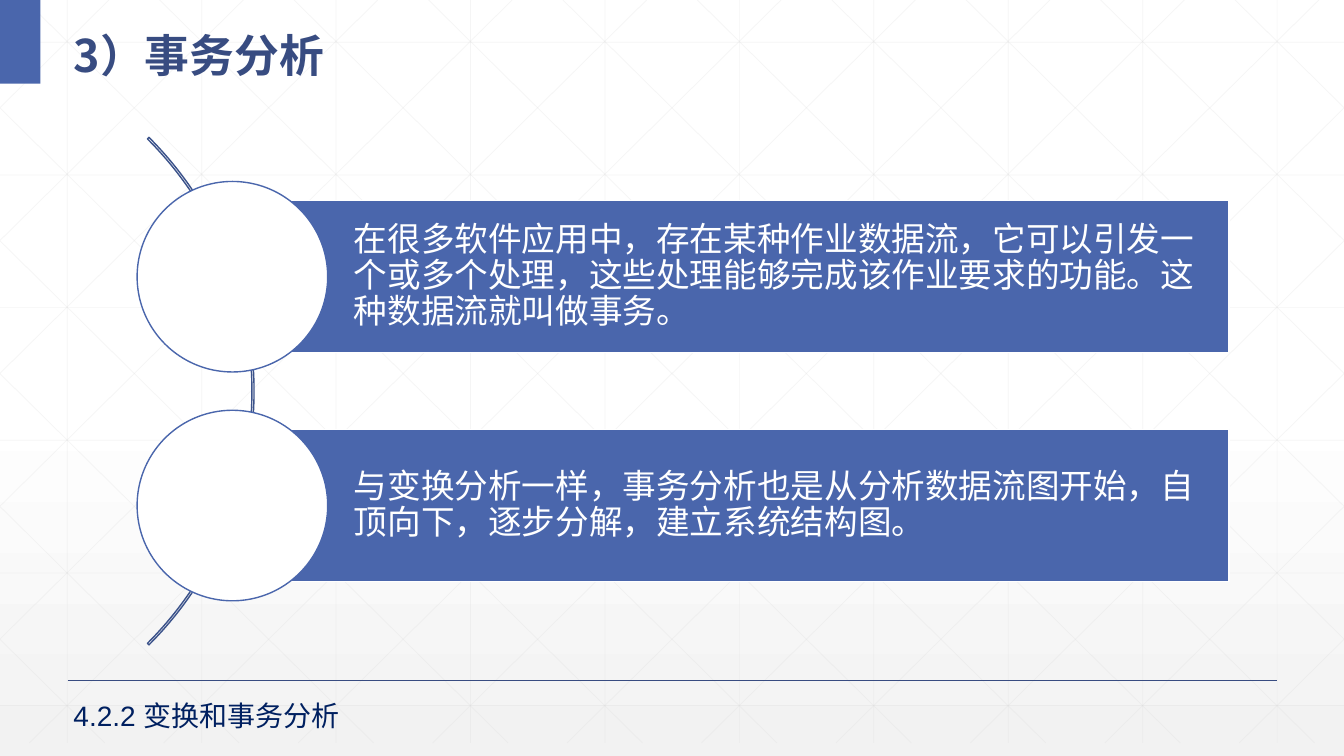
"""Build the slide on transaction analysis."""
from dataclasses import dataclass

from lxml import etree
from pptx import Presentation
from pptx.dml.color import RGBColor
from pptx.enum.shapes import MSO_CONNECTOR, MSO_SHAPE
from pptx.enum.text import MSO_ANCHOR, MSO_AUTO_SIZE, PP_ALIGN
from pptx.oxml.ns import qn
from pptx.util import Inches, Pt

LINE = MSO_CONNECTOR.STRAIGHT
RECT, OVAL, ARC = MSO_SHAPE.RECTANGLE, MSO_SHAPE.OVAL, MSO_SHAPE.BLOCK_ARC
LEFT, MIDDLE, TOP = PP_ALIGN.LEFT, MSO_ANCHOR.MIDDLE, MSO_ANCHOR.TOP
FIXED, GROW = MSO_AUTO_SIZE.NONE, MSO_AUTO_SIZE.SHAPE_TO_FIT_TEXT


@dataclass(frozen=True)
class Theme:
    white: str = "FFFFFF"
    fade: str = "F2F2F2"
    grid: str = "D9D9D9"
    blue: str = "4A66AC"
    dark: str = "384C81"
    arc: str = "3B528A"
    navy: str = "002060"
    latin: str = "Arial"
    asian: str = "Noto Sans CJK SC"
    head: int = 32
    body: int = 24
    foot: int = 20


theme = Theme()


def write(frame, text, size, color, font=theme.latin, bold=False,
          space=1.0, anchor=MIDDLE, fit=FIXED):
    frame.word_wrap = True
    frame.auto_size = fit
    frame.vertical_anchor = anchor
    para = frame.paragraphs[0]
    para.alignment = LEFT
    para.line_spacing = space
    run = para.add_run()
    run.text = text
    run.font.size = Pt(size)
    run.font.bold = bold
    run.font.name = font
    run.font.color.rgb = RGBColor.from_string(color)
    asian = etree.Element(qn("a:ea"), typeface=theme.asian)
    run.font.element.find(qn("a:latin")).addnext(asian) if hasattr(
        run.font, "element") else run._r.rPr.find(qn("a:latin")).addnext(asian)


def rule(x1, y1, x2, y2, color, width, alpha=100):
    line = slide.shapes.add_connector(
        LINE, Inches(x1), Inches(y1), Inches(x2), Inches(y2))
    line.line.color.rgb = RGBColor.from_string(color)
    line.line.width = Pt(width)
    props = line.element.spPr
    etree.SubElement(props, qn("a:effectLst"))
    tint = props.find(".//" + qn("a:srgbClr"))
    etree.SubElement(tint, qn("a:alpha"), val=str(alpha * 1000))


deck = Presentation()
wide, high = 13.33, 7.5
deck.slide_width, deck.slide_height = Inches(wide), Inches(high)
slide = deck.slides.add_slide(deck.slide_layouts[5])

back = slide.background.fill
back.gradient()
back.gradient_angle = 270
for stop, place, color in zip(
        back.gradient_stops, (0.53, 1), (theme.white, theme.fade)):
    stop.position = place
    stop.color.rgb = RGBColor.from_string(color)

base, step, run_x = 7.37, 4 / 3, 7.455
slope = base / run_x
grid = [(2 / 3 + step * i, 0, 2 / 3 + step * i, base) for i in range(10)]
grid += [(0, 0.42 + 1.316 * i, wide, 0.42 + 1.316 * i) for i in range(6)]
for i in range(-5, 10):
    start = 0.25 + step * i
    x1, x2 = max(0, start), min(wide, start + run_x)
    y1, y2 = slope * (x1 - start), slope * (x2 - start)
    grid += [(x1, y1, x2, y2), (wide - x1, y1, wide - x2, y2)]
for ends in grid:
    rule(*ends, theme.grid, 0.5, alpha=25)
rule(0.67, 6.75, 12.67, 6.75, theme.dark, 1)

title = slide.shapes.title
title.left, title.top = Inches(0.63), Inches(0.1)
title.width, title.height = Inches(12.42), Inches(0.73)
write(title.text_frame, "3）事务分析", theme.head, theme.dark,
      font=theme.asian, bold=True, space=1.3)
title.element.getparent().append(title.element)

notes = (
    "在很多软件应用中，存在某种作业数据流，它可以引发一个或多个处理，"
    "这些处理能够完成该作业要求的功能。这种数据流就叫做事务。",
    "与变换分析一样，事务分析也是从分析数据流图开始，"
    "自顶向下，逐步分解，建立系统结构图。",
)
parts = [
    (RECT, 0, 0, 0.4, 0.83, theme.blue, None, ""),
    (ARC, -4.6, 0.32, 7.12, 7.12, None, theme.arc, ""),
]
for i, note in enumerate(notes):
    top = 1.8 + 2.27 * i
    parts += [
        (RECT, 2.31, top + 0.19, 9.88, 1.51, theme.blue, theme.white, note),
        (OVAL, 1.36, top, 1.89, 1.89, theme.white, theme.blue, ""),
    ]
for kind, x, y, w, h, fill, edge, note in parts:
    shape = slide.shapes.add_shape(
        kind, Inches(x), Inches(y), Inches(w), Inches(h))
    shape.shadow.inherit = False
    if fill:
        shape.fill.solid()
        shape.fill.fore_color.rgb = RGBColor.from_string(fill)
    else:
        shape.fill.background()
    if edge:
        shape.line.color.rgb = RGBColor.from_string(edge)
        shape.line.width = Pt(1)
    else:
        shape.line.fill.background()
    if kind == ARC:
        for i, turn in enumerate((189, 27, 0.003)):
            shape.adjustments[i] = turn
    if note:
        frame = shape.text_frame
        frame.margin_left = Inches(1.2)
        frame.margin_right = Inches(0.07)
        frame.margin_top = frame.margin_bottom = Inches(0.07)
        write(frame, note, theme.body, theme.white, space=0.9)

foot = slide.shapes.add_textbox(
    Inches(0.63), Inches(6.88), Inches(4.69), Inches(0.44))
write(foot.text_frame, "4.2.2 变换和事务分析", theme.foot, theme.navy,
      anchor=TOP, fit=GROW)

deck.save("out.pptx")
